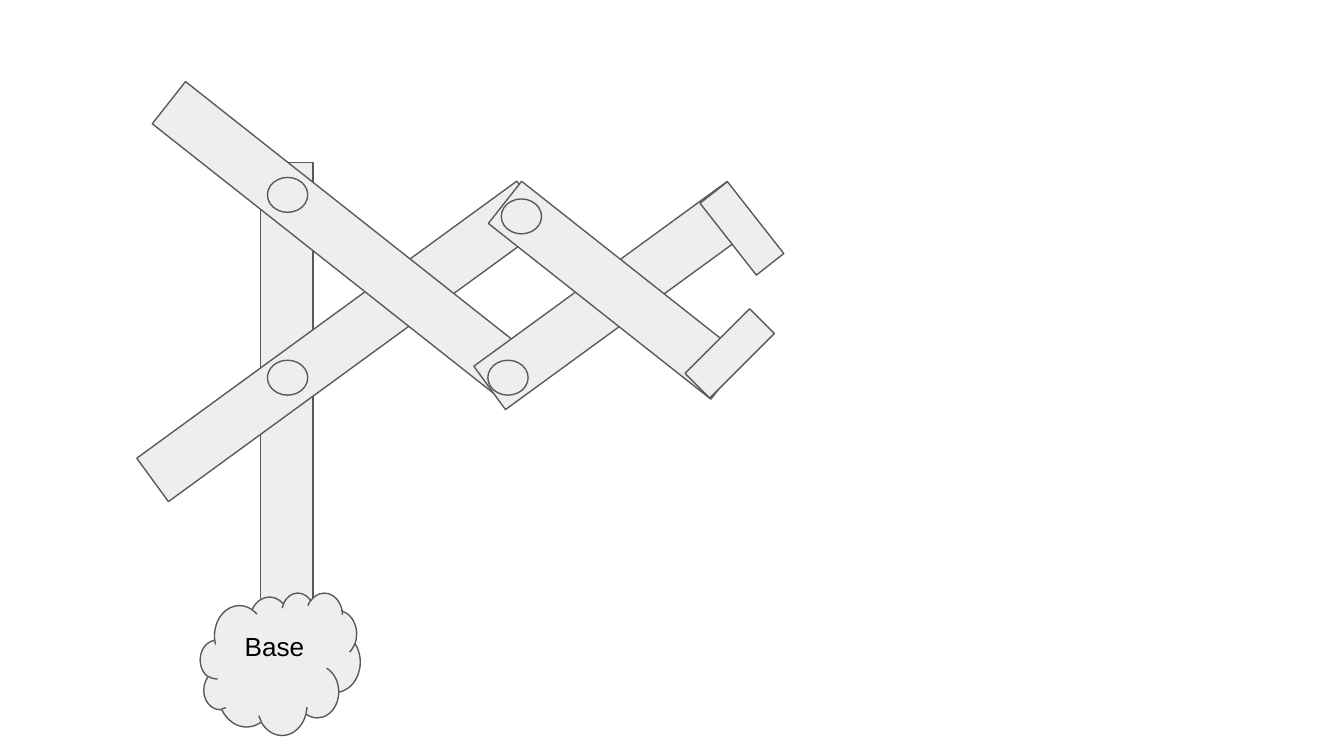
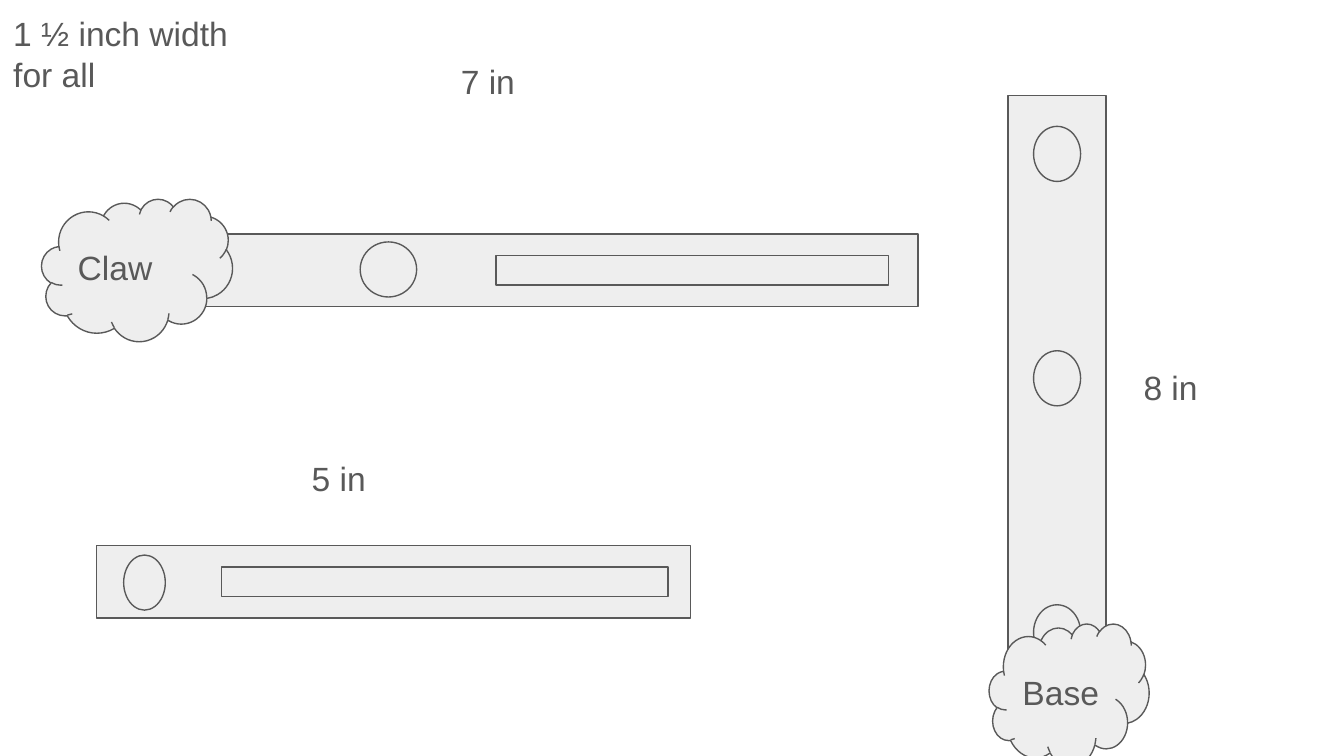
from pptx import Presentation
from pptx.dml.color import RGBColor
from pptx.enum.shapes import MSO_SHAPE
from pptx.enum.text import MSO_ANCHOR, PP_ALIGN
from pptx.util import Pt

BAR, PIN, CLOUD = MSO_SHAPE.RECTANGLE, MSO_SHAPE.OVAL, MSO_SHAPE.CLOUD
TOP, MIDDLE = MSO_ANCHOR.TOP, MSO_ANCHOR.MIDDLE
LEFT, CENTER = PP_ALIGN.LEFT, PP_ALIGN.CENTER
PX = 9144  # 100 px to the inch
FILL, INK, BLACK = "EEEEEE", "595959", "000000"
BLANK_LAYOUT = 6


def add_part(shapes, kind, left, top, width, height, angle=0):
    part = shapes.add_shape(kind, left * PX, top * PX, width * PX, height * PX)
    part.rotation = angle
    part.shadow.inherit = False
    part.fill.solid()
    part.fill.fore_color.rgb = RGBColor.from_string(FILL)
    part.line.color.rgb = RGBColor.from_string(INK)
    part.line.width = Pt(0.75)
    return part


def write(box, text, size=18, color=INK, align=LEFT, anchor=TOP, bottom=10):
    frame = box.text_frame
    frame.word_wrap = True
    frame.vertical_anchor = anchor
    frame.margin_left = frame.margin_right = frame.margin_top = 10 * PX
    frame.margin_bottom = bottom * PX
    para = frame.paragraphs[0]
    para.alignment = align
    span = para.add_run()
    span.text = text
    span.font.name = "Arial"
    span.font.size = Pt(size)
    span.font.color.rgb = RGBColor.from_string(color)


# Widescreen deck, 16:9
deck = Presentation()
deck.slide_width = 1000 * PX
deck.slide_height = 1000 * PX * 9 // 16

# Slide 1: assembled scissor arm
page = deck.slides.add_slide(deck.slide_layouts[BLANK_LAYOUT])

# Upright post with its lower pin
post = page.shapes.add_group_shape().shapes
add_part(post, BAR, 23, 292, 381, 39, 270)
add_part(post, PIN, 201, 457, 26, 30, 270)

# Arms, pins and claw tips, from back to front
RISING, FALLING = 323.9, 38.3
for kind, left, top, width, height, angle in [
    (BAR, 80, 234, 350, 40, RISING),
    (PIN, 201, 266, 26, 30, 270),
    (BAR, 90, 159, 331, 40, FALLING),
    (PIN, 201, 130, 26, 30, 270),
    (BAR, 342, 200, 233, 40, RISING),
    (BAR, 353, 196, 211, 40, FALLING),
    (PIN, 375, 146, 26, 30, 270),
    (PIN, 365, 266, 26, 30, 270),
    (BAR, 518, 157, 68, 26, 51.9),
    (BAR, 509, 250, 68, 26, 315),
]:
    add_part(page.shapes, kind, left, top, width, height, angle)

# Base, with its label raised by a deeper bottom margin
base = add_part(page.shapes, CLOUD, 149, 441, 119, 106)
write(base, "Base", size=14, color=BLACK, align=CENTER, anchor=MIDDLE, bottom=32)

# Slide 2: separate pieces with their sizes
page = deck.slides.add_slide(deck.slide_layouts[BLANK_LAYOUT])

short_arm = [(BAR, 72, 406, 442, 54), (BAR, 165, 422, 332, 22), (PIN, 92, 413, 31, 41)]
claw_arm = [(BAR, 81, 174, 602, 54), (BAR, 369, 190, 292, 22),
            (PIN, 268, 180, 42, 41), (CLOUD, 31, 148, 142, 106)]
upright = [(BAR, 750, 71, 73, 449)]
upright += [(PIN, 769, top, 35, 41) for top in (94, 261, 450)]
upright += [(CLOUD, 736, 464, 119, 106)]

# Each piece is one group, with a name on its cloud if it has one
for parts, name, name_place in [
    (short_arm, None, None),
    (claw_arm, "Claw", (48, 174, 108, 34)),
    (upright, "Base", (751, 490, 90, 34)),
]:
    piece = page.shapes.add_group_shape().shapes
    for part in parts:
        add_part(piece, *part)
    if name:
        write(piece.add_textbox(*[length * PX for length in name_place]), name)

# Size labels
for text, left, top, width in [
    ("7 in", 333, 35, 142),
    ("5 in", 222, 331, 142),
    ("8 in", 841, 263, 142),
    ("1 ½ inch width for all", 0, 0, 189),
]:
    write(page.shapes.add_textbox(left * PX, top * PX, width * PX, 36 * PX), text)

deck.save("out.pptx")
